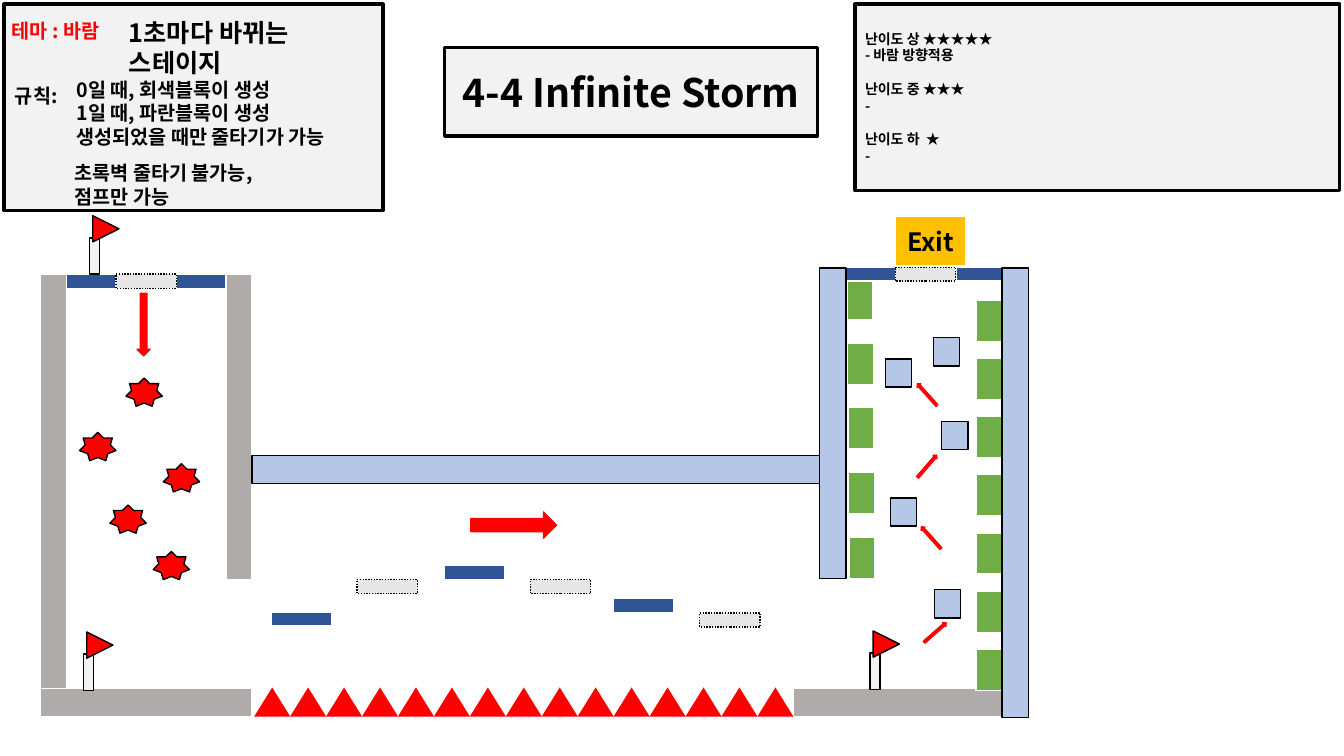
from lxml import etree
from pptx import Presentation
from pptx.dml.color import RGBColor
from pptx.enum.dml import MSO_LINE
from pptx.enum.shapes import MSO_SHAPE as SHP
from pptx.enum.text import MSO_ANCHOR, MSO_AUTO_SIZE, PP_ALIGN
from pptx.oxml.ns import qn
from pptx.util import Inches, Pt

FONT = "Noto Sans CJK KR"
BLACK, WHITE = RGBColor(0, 0, 0), RGBColor(255, 255, 255)
RED, GOLD = RGBColor(255, 0, 0), RGBColor(0xFF, 0xC0, 0x00)
PALE, SILVER = RGBColor(0xF2, 0xF2, 0xF2), RGBColor(0xE7, 0xE6, 0xE6)
GRAY, GREEN = RGBColor(0xAF, 0xAB, 0xAB), RGBColor(0x70, 0xAD, 0x47)
NAVY, SKY = RGBColor(0x2F, 0x55, 0x97), RGBColor(0xB4, 0xC7, 0xE7)

# Look of each stage part: fill, then line format values
STYLES = {
    "panel": (PALE, {"width": Pt(2.25)}, BLACK),
    "wall": (GRAY, {"width": Pt(1)}, WHITE),
    "frame": (SKY, {"width": Pt(1)}, BLACK),
    "green": (GREEN, {"width": Pt(1)}, WHITE),
    "block": (NAVY, {"width": Pt(1)}, WHITE),
    "ghost": (SILVER, {"width": Pt(1), "dash_style": MSO_LINE.ROUND_DOT}, BLACK),
    "wind": (RED, {"width": Pt(1)}, RED),
    "hazard": (RED, {"width": Pt(1)}, BLACK),
    "pole": (PALE, {"width": Pt(1)}, BLACK),
    "exit": (GOLD, {"width": Pt(1)}, WHITE),
    "spike": (RED, {}, None),
}

# Text content
TITLE = "4-4 Infinite Storm"
DIFFICULTIES = [("난이도 상 ", "★★★★★", "- 바람 방향적용"),
                ("난이도 중 ", "★★★", "- "),
                ("난이도 하  ", "★", "-")]
LABELS = [  # box, size, colour, lines
    ((1.18, 0.12, 2.4, 0.71), 18, BLACK, ["1초마다 바뀌는", "스테이지"]),
    ((0.02, 0.14, 1.46, 0.34), 14, RED, ["테마 : 바람"]),
    ((0.05, 0.78, 0.62, 0.34), 14, BLACK, ["규칙:"]),
    ((0.66, 0.72, 3.05, 0.81), 14, BLACK,
     ["0일 때, 회색블록이 생성", "1일 때, 파란블록이 생성", "생성되었을 때만 줄타기가 가능"]),
    ((0.64, 1.55, 3.05, 0.57), 14, BLACK, ["초록벽 줄타기 불가능,", "점프만 가능"]),
]

# Stage layout
TITLE_BOX = (4.41, 0.47, 3.7, 0.88)
RULES_BOX = (0.04, 0.04, 3.76, 2.05)
LEVELS_BOX = (8.48, 0.04, 4.81, 1.85)
WALLS = [(0.4, 2.72, 0.26, 4.12), (2.24, 2.72, 0.26, 3.03),
         (0.4, 6.83, 2.1, 0.28), (7.87, 6.83, 2.1, 0.28)]
FRAMES = [(2.5, 4.52, 5.63, 0.28), (8.13, 2.66, 0.26, 3.08), (9.94, 2.66, 0.26, 4.46)]
GATES = [(0.66, 2.72), (8.39, 2.65)]
PLATFORMS = [(2.69, 6.07, "block"), (3.54, 5.75, "ghost"), (4.41, 5.61, "block"),
             (5.26, 5.75, "ghost"), (6.08, 5.94, "block"), (6.94, 6.08, "ghost")]
STARS = [(1.25, 3.75), (0.79, 4.29), (1.62, 4.6), (1.09, 5.01), (1.52, 5.47)]
CUBES = [(9.27, 5.85), (8.83, 4.94), (9.34, 4.18), (8.78, 3.56), (9.26, 3.35)]
GUSTS = [(9.13, 6.25, 138.8), (9.09, 5.31, 48.1), (9.05, 4.6, 130.7), (9.05, 3.89, 48.1)]
FLAGS = [(0.83, 6.27), (0.89, 2.14), (8.63, 6.26)]
SPIKES, SPIKE_LEFT, SPIKE_STEP = 15, 2.52, 0.3565
GREEN_LEFT = [(8.4 + 0.005 * i, 2.76 + 0.6425 * i) for i in range(5)]
GREEN_RIGHT = [(9.68, 2.98 + 0.5767 * i) for i in range(7)]


def apply(target, values):
    """Set every named attribute on the target."""
    for name, value in values.items():
        setattr(target, name, value)


def place(sp, box):
    """Move and size a shape, in inches."""
    apply(sp, dict(zip(("left", "top", "width", "height"), map(Inches, box))))


def paint(sp, style):
    """Give a shape its fill and line."""
    fill, line, color = STYLES[style]
    sp.fill.solid()
    sp.fill.fore_color.rgb = fill
    apply(sp.line, line)
    if color is None:
        sp.line.fill.background()
    else:
        sp.line.color.rgb = color


def part(shapes, style, box, kind=SHP.RECTANGLE, turn=0):
    """Add one painted stage part."""
    sp = shapes.add_shape(kind, *map(Inches, box))
    sp.shadow.inherit = False
    sp.rotation = turn
    paint(sp, style)
    return sp


def add_run(p, text, size, color=BLACK, bold=True):
    """Add a formatted run to a paragraph."""
    r = p.add_run()
    r.text = text
    apply(r.font, {"name": FONT, "size": Pt(size), "bold": bold})
    r.font.color.rgb = color
    etree.SubElement(r.font._element, qn("a:ea")).set("typeface", FONT)


def next_paragraph(tf):
    """Return the first paragraph while it is empty, then new ones."""
    return tf.add_paragraph() if tf.paragraphs[0].runs else tf.paragraphs[0]


def write(sp, lines, size, color=BLACK, **frame):
    """Fill a shape with one paragraph per line."""
    tf = sp.text_frame
    align = frame.pop("align", PP_ALIGN.LEFT)
    apply(tf, {"word_wrap": True, **frame})
    for line in lines:
        p = next_paragraph(tf)
        p.alignment = align
        add_run(p, line, size, color)


def add_levels(sp):
    """Write the difficulty list into the body placeholder."""
    tf = sp.text_frame
    apply(tf, {"word_wrap": True, "auto_size": MSO_AUTO_SIZE.NONE,
               "vertical_anchor": MSO_ANCHOR.MIDDLE})
    for i, (name, rating, note) in enumerate(DIFFICULTIES):
        heading = [(name, True), (rating, False)]
        for runs, gap in ((heading, 12 if i else 0), ([(note, True)], 0)):
            p = next_paragraph(tf)
            p.space_before = Pt(gap)
            pPr = p._p.get_or_add_pPr()
            apply_indent = {"marL": "0", "indent": "0"}
            for key, value in apply_indent.items():
                pPr.set(key, value)
            etree.SubElement(pPr, qn("a:buNone"))
            for text, bold in runs:
                add_run(p, text, 10, bold=bold)


def add_flag(shapes, x, y):
    """Add a grouped pole and pennant."""
    group = shapes.add_group_shape().shapes
    part(group, "pole", (x, y + 0.22, 0.1, 0.36))
    part(group, "hazard", (x + 0.03, y, 0.26, 0.26), SHP.ISOSCELES_TRIANGLE, 90)


prs = Presentation()
prs.slide_width, prs.slide_height = Inches(13.33), Inches(7.5)
s = prs.slides.add_slide(prs.slide_layouts[1])
shapes = s.shapes
centered = {"align": PP_ALIGN.CENTER, "vertical_anchor": MSO_ANCHOR.MIDDLE}

title, levels = shapes.title, s.placeholders[1]
for sp, box in ((title, TITLE_BOX), (levels, LEVELS_BOX)):
    place(sp, box)
    paint(sp, "panel")
write(title, [TITLE], 28, auto_size=MSO_AUTO_SIZE.NONE, **centered)
add_levels(levels)

part(shapes, "panel", RULES_BOX)
for box, size, color, lines in LABELS:
    write(shapes.add_textbox(*map(Inches, box)), lines, size, color)

for box in WALLS:
    part(shapes, "wall", box)
for x, y in GREEN_LEFT + GREEN_RIGHT:
    part(shapes, "green", (x, y, 0.26, 0.41))
for x, y in GATES:
    for style, shift, width in (("block", 0, 0.49), ("block", 1.09, 0.49), ("ghost", 0.49, 0.6)):
        part(shapes, style, (x + shift, y, width, 0.14))
for x, y, style in PLATFORMS:
    part(shapes, style, (x, y, 0.6, 0.14))
for i in range(SPIKES):
    part(shapes, "spike", (SPIKE_LEFT + i * SPIKE_STEP, 6.82, 0.36, 0.29), SHP.ISOSCELES_TRIANGLE)
for x, y in STARS:
    part(shapes, "hazard", (x, y, 0.36, 0.28), SHP.STAR_7_POINT)

part(shapes, "wind", (1.36, 2.91, 0.13, 0.62), SHP.DOWN_ARROW)
part(shapes, "wind", (4.67, 5.08, 0.85, 0.26), SHP.RIGHT_ARROW)
for x, y, turn in GUSTS:
    part(shapes, "wind", (x, y, 0.29, 0.05), SHP.LEFT_ARROW, turn)

for box in FRAMES + [(x, y, 0.26, 0.28) for x, y in CUBES]:
    part(shapes, "frame", box)
write(part(shapes, "exit", (8.88, 2.15, 0.7, 0.49)), ["Exit"], 18, **centered)
for x, y in FLAGS:
    add_flag(shapes, x, y)

prs.save("out.pptx")
